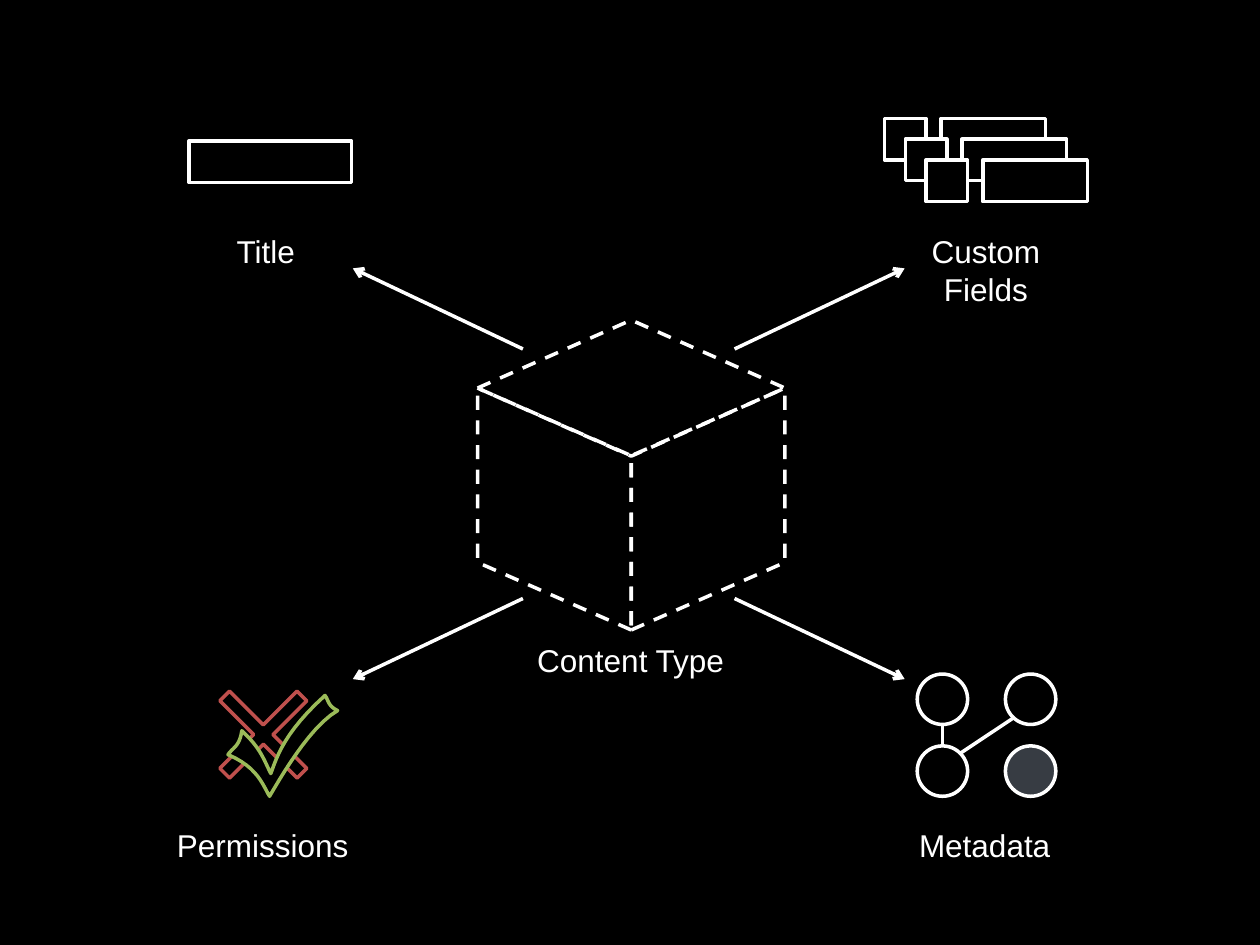
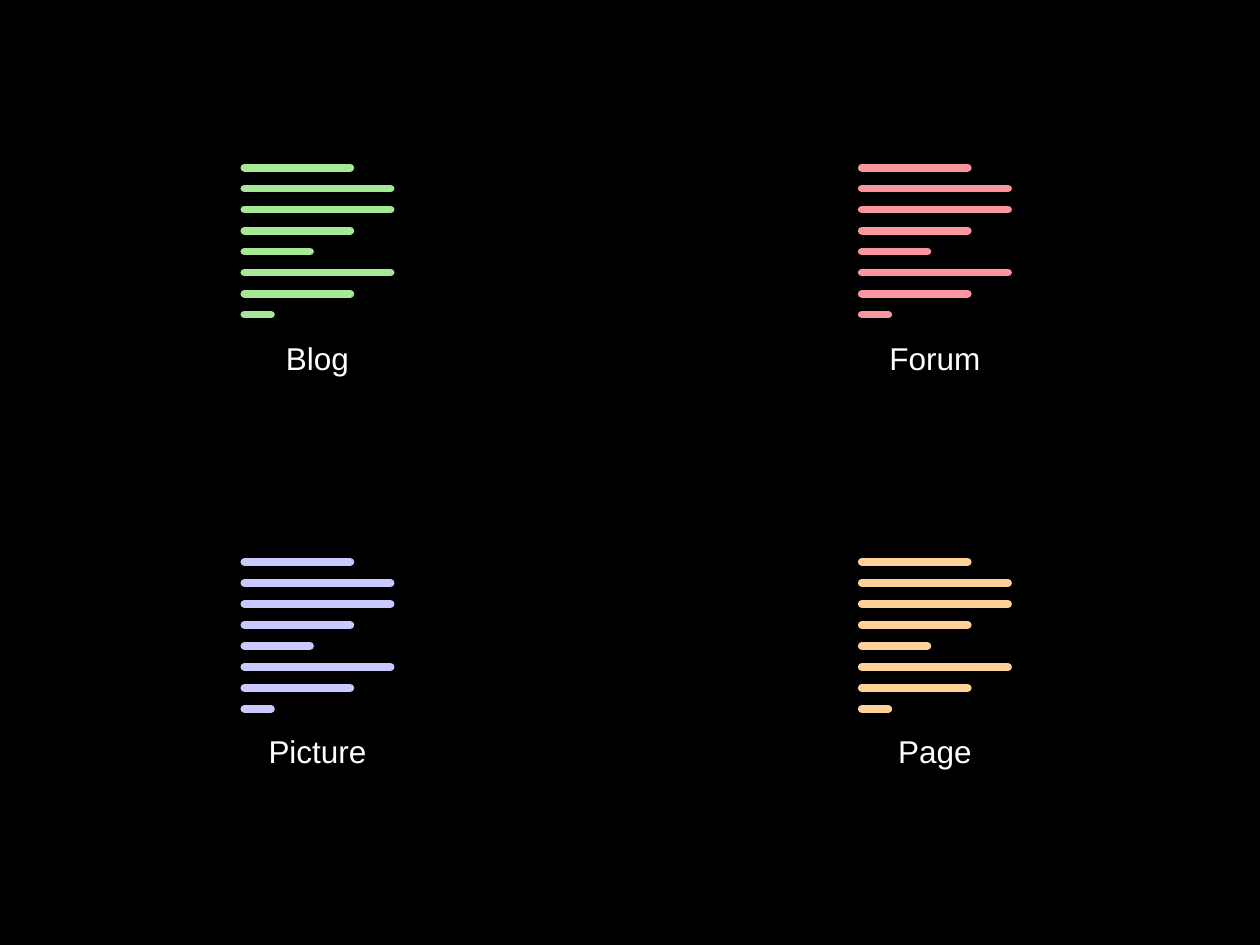
from itertools import product

from lxml import etree
from pptx import Presentation
from pptx.dml.color import RGBColor
from pptx.enum.dml import MSO_LINE
from pptx.enum.shapes import MSO_CONNECTOR, MSO_SHAPE
from pptx.enum.text import MSO_AUTO_SIZE, PP_ALIGN
from pptx.oxml.ns import qn
from pptx.util import Inches, Pt

RECT, OVAL = MSO_SHAPE.RECTANGLE, MSO_SHAPE.OVAL
SLANT, DIAMOND = MSO_SHAPE.PARALLELOGRAM, MSO_SHAPE.DIAMOND
CROSS = MSO_SHAPE.MATH_MULTIPLY
STRAIGHT, DASH = MSO_CONNECTOR.STRAIGHT, MSO_LINE.DASH
CENTER, GROW = PP_ALIGN.CENTER, MSO_AUTO_SIZE.SHAPE_TO_FIT_TEXT


class Theme:
    font, size = "Arial", 18
    thin, thick = 2, 4.5
    back, ink = "000000", "FFFFFF"
    red, green, tint = "C0504D", "9BBB59", "C6D9F1"


# Content: captions as text, left, top, width, height
PARTS = [
    ("Title", 0.83, 1.79, 2.56, 0.4),
    ("Custom Fields", 7.01, 1.79, 1.63, 0.71),
    ("Permissions", 0.96, 6.51, 2.25, 0.4),
    ("Metadata", 6.69, 6.51, 2.25, 0.4),
    ("Content Type", 3.88, 5.04, 2.25, 0.4),
]

# Cube sides as left, rotation, mirrored
SIDES = [(3.44, 270, False), (4.66, 90, True)]

# Check mark: start point, then curves of two controls and an end
START = (1.81, 5.99)
CURVES = [
    ((2.05, 6.09), (2.09, 6.24), (2.14, 6.32)),
    ((2.2, 6.22), (2.45, 5.77), (2.68, 5.64)),
    ((2.6, 5.6), (2.61, 5.56), (2.58, 5.52)),
    ((2.26, 5.81), (2.2, 6), (2.15, 6.14)),
    ((2.09, 6.02), (2.07, 5.94), (1.92, 5.8)),
    ((1.9, 5.93), (1.85, 5.93), START),
]

# Content kinds as name, colour, column, row
KINDS = [
    ("Blog", "A5E997", 0, 0),
    ("Forum", "FB959F", 1, 0),
    ("Picture", "CAC9FF", 0, 1),
    ("Page", "FFD198", 1, 1),
]
BARS = [0.84, 1.16, 1.16, 0.84, 0.52, 1.16, 0.84, 0.21]


# Shared helpers
def rgb(code):
    return RGBColor.from_string(code)


def style(shape, fill=None, ink=Theme.ink, dash=None):
    shape.shadow.inherit = False
    if fill:
        shape.fill.solid()
        shape.fill.fore_color.rgb = rgb(fill)
    else:
        shape.fill.background()
    shape.line.color.rgb = rgb(ink)
    shape.line.width = Pt(Theme.thin)
    if dash:
        shape.line.dash_style = dash
    return shape


def add(shapes, kind, x, y, w, h, **look):
    box = [Inches(v) for v in (x, y, w, h)]
    return style(shapes.add_shape(kind, *box), **look)


def join(shapes, start, end, ink=Theme.ink, width=Theme.thin,
         arrow=False, cap=False):
    ends = [Inches(v) for v in (*start, *end)]
    line = shapes.add_connector(STRAIGHT, *ends)
    line.line.color.rgb = rgb(ink)
    line.line.width = Pt(width)
    props = line.element.spPr
    stroke = props.find(qn("a:ln"))
    if cap:
        stroke.set("cap", "rnd")
    if arrow:
        etree.SubElement(stroke, qn("a:tailEnd"), type="arrow")
    etree.SubElement(props, qn("a:effectLst"))


def label(slide, text, x, y, w, h):
    box = slide.shapes.add_textbox(*[Inches(v) for v in (x, y, w, h)])
    frame = box.text_frame
    frame.word_wrap = True
    frame.auto_size = GROW
    para = frame.paragraphs[0]
    para.alignment = CENTER
    run = para.add_run()
    run.text = text
    run.font.name = Theme.font
    run.font.size = Pt(Theme.size)
    run.font.color.rgb = rgb(Theme.ink)


def group(slide):
    return slide.shapes.add_group_shape().shapes


# Icons of the first slide
def cube(shapes):
    for x, turn, flip in SIDES:
        side = add(shapes, SLANT, x, 3.43, 1.92, 1.22, dash=DASH)
        side.adjustments[0] = 0.44
        side.rotation = turn
        if flip:
            side.element.spPr.find(qn("a:xfrm")).set("flipH", "1")
    add(shapes, DIAMOND, 3.79, 2.54, 2.44, 1.08, dash=DASH)


def fields(shapes):
    for i in range(3):
        shift = i * 0.33 / 2
        for x, w in ((7.02, 0.33), (7.47, 0.83)):
            add(shapes, RECT, x + shift, 0.94 + shift, w, 0.33,
                fill=Theme.back)


def curve(a, b, c, d, steps=12):
    for i in range(1, steps + 1):
        t = i / steps
        u = 1 - t
        mix = (u ** 3, 3 * u * u * t, 3 * u * t * t, t ** 3)
        yield tuple(Inches(sum(m * p[k] for m, p in zip(mix, (a, b, c, d))))
                    for k in (0, 1))


def marks(shapes):
    cross = add(shapes, CROSS, 1.5, 5.24, 1.18, 1.18,
                fill=Theme.back, ink=Theme.red)
    cross.adjustments[0] = 0.092
    points, last = [], START
    for bend in CURVES:
        points += curve(last, *bend)
        last = bend[-1]
    pen = shapes.build_freeform(*[Inches(v) for v in START])
    pen.add_line_segments(points, close=True)
    style(pen.convert_to_shape(), fill=Theme.back, ink=Theme.green)


def nodes(shapes):
    for y, x in product((5.35, 5.92), (7.28, 7.98)):
        dot = add(shapes, OVAL, x, y, 0.4, 0.4)
    # The last dot has a faint tint
    dot.fill.solid()
    dot.fill.fore_color.rgb = rgb(Theme.tint)
    tone = dot.element.spPr.find(qn("a:solidFill"))[0]
    etree.SubElement(tone, qn("a:alpha"), val="28000")
    join(shapes, (7.48, 5.75), (7.48, 5.92))
    join(shapes, (7.62, 5.98), (8.04, 5.7))


def model(slide):
    for draw in (cube, fields, marks, nodes):
        draw(group(slide))
    add(slide.shapes, RECT, 1.5, 1.12, 1.29, 0.33)
    for part in PARTS:
        label(slide, *part)
    # Arrows mirrored about the cube's centre
    mid, level = 4.99, 3.76
    for sx, sy in product((1, -1), repeat=2):
        join(slide.shapes, (mid + sx * 0.84, level + sy * 0.99),
             (mid + sx * 2.19, level + sy * 1.63), arrow=True)


# Second slide: one stack of bars per kind
def kinds(slide):
    for name, ink, col, row in KINDS:
        x, y = 1.94 + col * 4.9, 1.33 + row * 3.13
        stack = group(slide)
        for i, width in enumerate(BARS):
            at = y + i / 6
            join(stack, (x, at), (x + width, at), ink, Theme.thick, cap=True)
        label(slide, name, x - 0.36, 2.64 + row * 3.12, 1.88, 0.4)


def main():
    prs = Presentation()
    prs.slide_width, prs.slide_height = Inches(10), Inches(7.5)
    back = prs.slide_master.background.fill
    back.solid()
    back.fore_color.rgb = rgb(Theme.back)
    for draw in (model, kinds):
        draw(prs.slides.add_slide(prs.slide_layouts[6]))
    prs.save("out.pptx")


if __name__ == "__main__":
    main()
